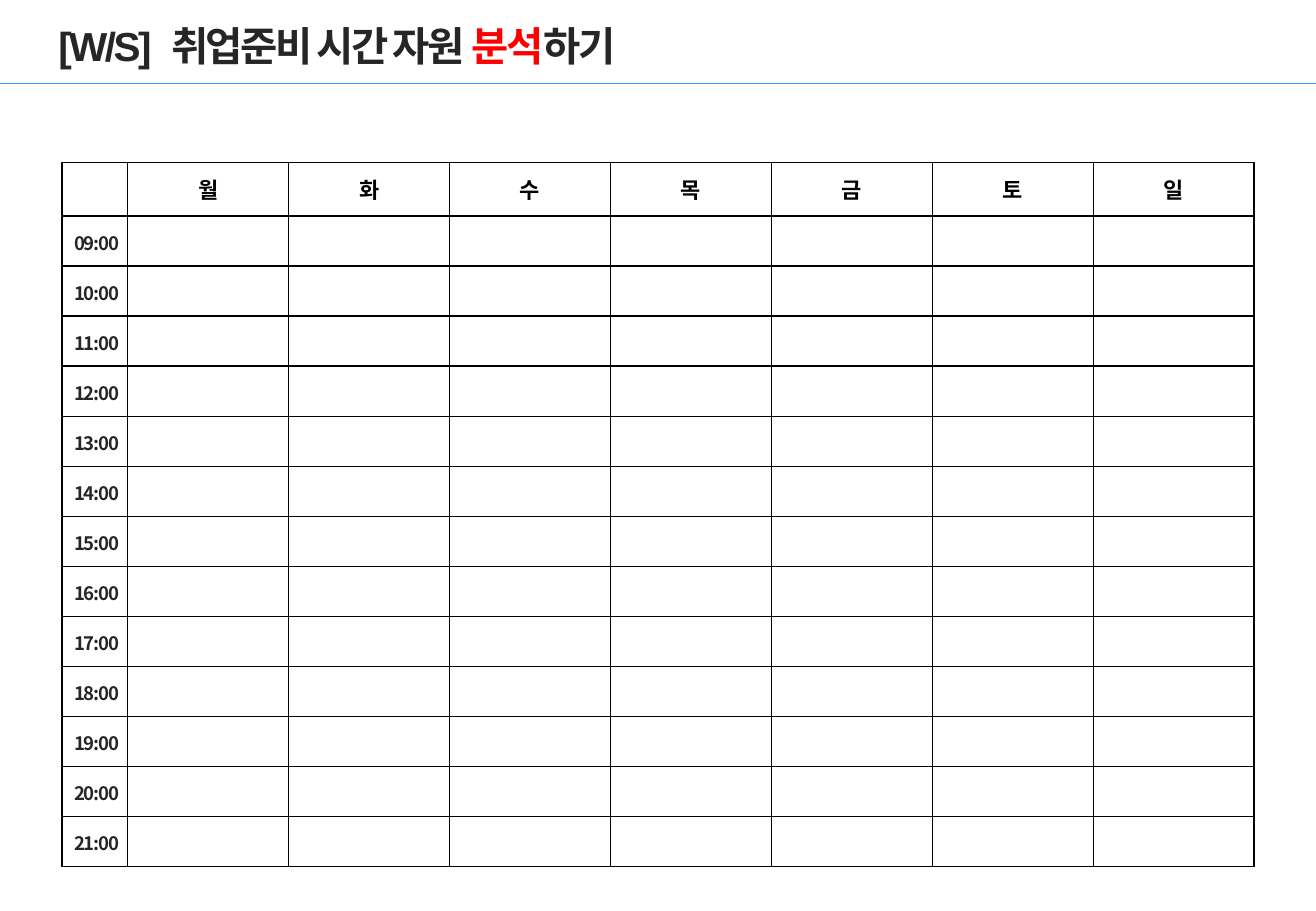
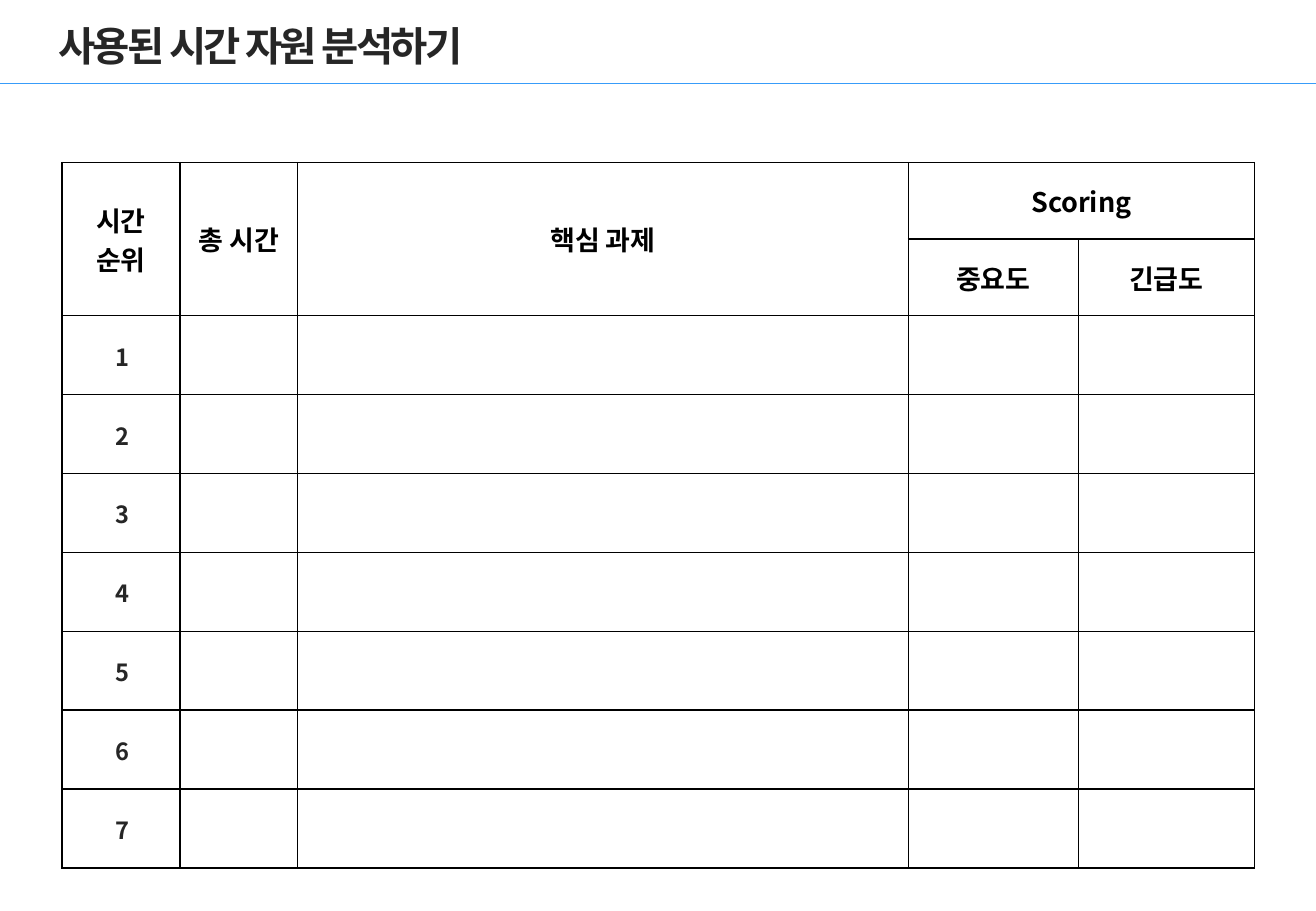
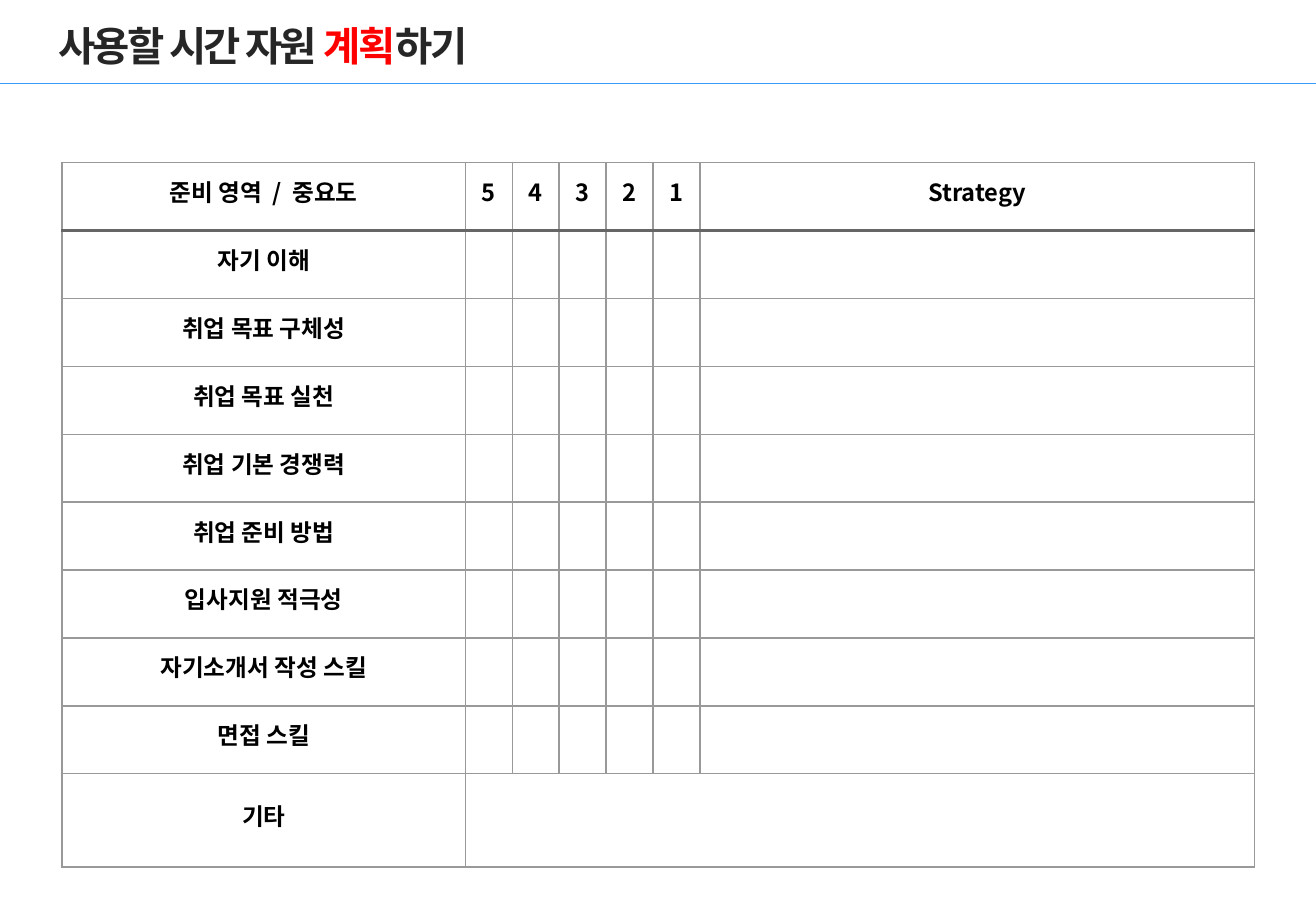
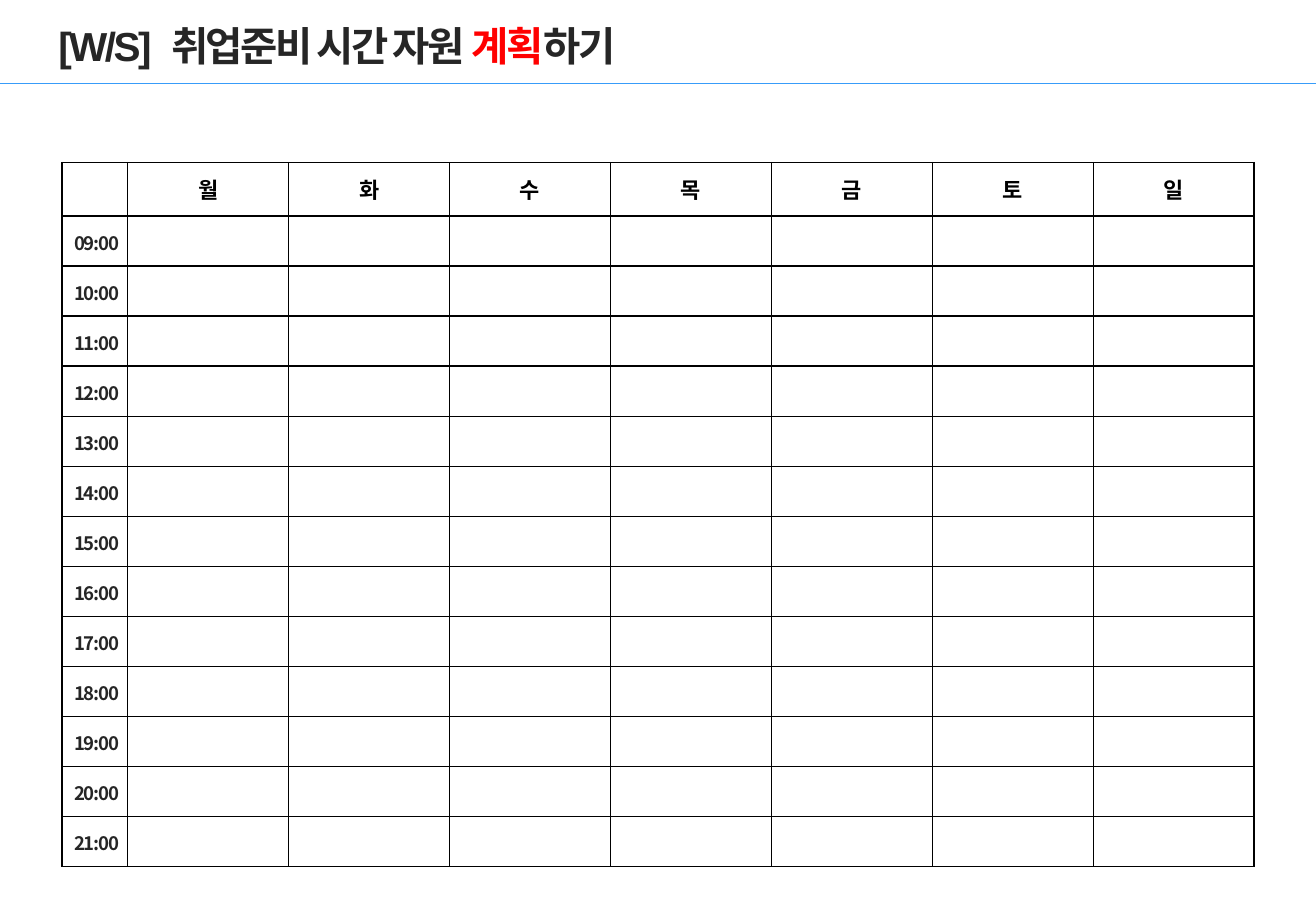
from lxml import etree
from pptx import Presentation
from pptx.dml.color import RGBColor
from pptx.enum.shapes import MSO_CONNECTOR
from pptx.enum.text import MSO_ANCHOR, PP_ALIGN
from pptx.oxml.ns import qn
from pptx.util import Cm, Pt

LINE = MSO_CONNECTOR.STRAIGHT
MID = MSO_ANCHOR.MIDDLE
CENTER = PP_ALIGN.CENTER

BLACK = RGBColor(0x00, 0x00, 0x00)
INK = RGBColor(0x26, 0x26, 0x26)
RED = RGBColor(0xFF, 0x00, 0x00)
BLUE = RGBColor(0x38, 0x9C, 0xF9)
GRAY = RGBColor(0x99, 0x99, 0x99)
DARK = RGBColor(0x66, 0x66, 0x66)

LATIN = "Arial"
HANGUL = "Noto Sans CJK KR"

WIDE, HIGH = 27.51, 19.05
LEFT, TOP = 1.3, 3.4
SPAN, TALL = 24.92, 14.72

FLUSH = (0, 0, 0, 0)
LABEL = (0.1, 0.03, 0.03, 0)
SIDES = (0.15, 0, 0.15, 0)

DAYS = "월화수목금토일"
HOURS = [f"{hour:02}:00" for hour in range(9, 22)]
AREAS = [
    "자기 이해", "취업 목표 구체성", "취업 목표 실천", "취업 기본 경쟁력",
    "취업 준비 방법", "입사지원 적극성", "자기소개서 작성 스킬", "면접 스킬", "기타",
]


def add_run(para, text, size, color, face=HANGUL, track=0):
    """Add one bold run; track is the letter spacing in points."""
    run = para.add_run()
    run.text = text
    font = run.font
    font.size, font.bold, font.name = Pt(size), True, face
    font.color.rgb = color
    props = run._r.get_or_add_rPr()
    etree.SubElement(props, qn("a:ea"), typeface=HANGUL)
    if track:
        props.set("spc", str(int(track * 100)))


def add_head(slide, parts):
    """Draw the rule and the title from (text, colour, tracking) parts."""
    rule = slide.shapes.add_connector(LINE, 0, Cm(1.75), Cm(WIDE), Cm(1.75))
    rule.line.color.rgb = BLUE
    rule.line.width = Pt(0.5)
    etree.SubElement(rule._element.spPr, qn("a:effectLst"))
    frame = slide.shapes.add_textbox(Cm(0.97), Cm(0.18), Cm(18.06), Cm(1.55)).text_frame
    frame.word_wrap = True
    frame.vertical_anchor = MID
    for text, color, track in parts:
        add_run(frame.paragraphs[0], text, 24, color, LATIN, track)


def set_edge(cell, side, color, width):
    """Draw one border; sides go in the order L, R, T, B."""
    edge = etree.SubElement(cell._tc.get_or_add_tcPr(), qn("a:ln" + side), w=str(Pt(width)))
    fill = etree.SubElement(edge, qn("a:solidFill"))
    etree.SubElement(fill, qn("a:srgbClr"), val=str(color))


def add_grid(slide, widths, heights, color, heavy=None):
    """Add an empty ruled table; heavy is a (colour, width) below the first row."""
    table = slide.shapes.add_table(
        len(heights), len(widths), Cm(LEFT), Cm(TOP), Cm(sum(widths)), Cm(sum(heights))
    ).table
    table.first_row = table.horz_banding = False
    for col, width in zip(table.columns, widths):
        col.width = Cm(width)
    for index, (row, height) in enumerate(zip(table.rows, heights)):
        row.height = Cm(height)
        for cell in row.cells:
            pad(cell, FLUSH)
            for side in "LRTB":
                bold = heavy and (index, side) in ((0, "B"), (1, "T"))
                set_edge(cell, side, *(heavy if bold else (color, 1)))
            cell.fill.background()
    return table


def pad(cell, inset):
    left, top, right, base = map(Cm, inset)
    cell.margin_left, cell.margin_top = left, top
    cell.margin_right, cell.margin_bottom = right, base


def put(cell, text, size, color=BLACK, inset=FLUSH, track=0, lead=None):
    """Write centred lines; a tab mark of '|' splits a line into runs."""
    cell.vertical_anchor = MID
    pad(cell, inset)
    frame = cell.text_frame
    for index, line in enumerate(text.split("\n")):
        para = frame.add_paragraph() if index else frame.paragraphs[0]
        para.alignment = CENTER
        if lead:
            para.line_spacing = Pt(lead)
        add_run(para, line, size, color, track=track)


def split(total, count):
    return [total / count] * count


def week_slide(slide, word):
    add_head(slide, [
        ("[W/S]", INK, -1.5), (" ", INK, 5), ("취업준비 시간 자원 ", INK, -1.5),
        (word, RED, -1.5), ("하기", INK, -1.5),
    ])
    side, head = 1.37, 1.12
    table = add_grid(
        slide, [side] + split(SPAN - side, len(DAYS)),
        [head] + split(TALL - head, len(HOURS)), BLACK,
    )
    for col, day in enumerate(DAYS, 1):
        put(table.cell(0, col), day, 13)
    for row, hour in enumerate(HOURS, 1):
        put(table.cell(row, 0), hour, 11, INK, LABEL, -0.7)


def rank_slide(slide):
    add_head(slide, [("사용된 시간 자원 분석하기", INK, -1.5)])
    table = add_grid(slide, [2.46, 2.46, 12.77, 3.55, 3.68], [1.6] * 2 + [1.65] * 7, BLACK)
    for col, text in enumerate(["시간\n순위", "총 시간", "핵심 과제"]):
        table.cell(0, col).merge(table.cell(1, col))
        put(table.cell(0, col), text, 16)
    table.cell(0, 3).merge(table.cell(0, 4))
    put(table.cell(0, 3), "Scoring", 16)
    put(table.cell(1, 3), "중요도", 16)
    put(table.cell(1, 4), "긴급도", 16)
    for rank in range(1, 8):
        put(table.cell(rank + 1, 0), str(rank), 14, INK, LABEL, -0.7)


def plan_slide(slide):
    add_head(slide, [
        ("사용할 시간 자원 ", INK, -1.5), ("계획", RED, -1.5), ("하기", INK, -1.5),
    ])
    table = add_grid(
        slide, [8.43] + [0.98] * 5 + [11.59], [1.42] * 9 + [1.95], GRAY, (DARK, 1.5)
    )
    for col, text in enumerate(["준비 영역", *"54321", "Strategy"]):
        put(table.cell(0, col), text, 14, inset=SIDES, lead=14)
    para = table.cell(0, 0).text_frame.paragraphs[0]
    for text, track in ((" ", 3), ("/", 0), (" ", 3), ("중요도", 0)):
        add_run(para, text, 14, BLACK, track=track)
    for row, area in enumerate(AREAS, 1):
        put(table.cell(row, 0), area, 14, inset=SIDES, lead=14)
    table.cell(9, 1).merge(table.cell(9, 6))


def main():
    deck = Presentation()
    deck.slide_width, deck.slide_height = Cm(WIDE), Cm(HIGH)
    blank = deck.slide_layouts[6]

    def page():
        return deck.slides.add_slide(blank)

    week_slide(page(), "분석")
    rank_slide(page())
    plan_slide(page())
    week_slide(page(), "계획")
    deck.save("out.pptx")


if __name__ == "__main__":
    main()
